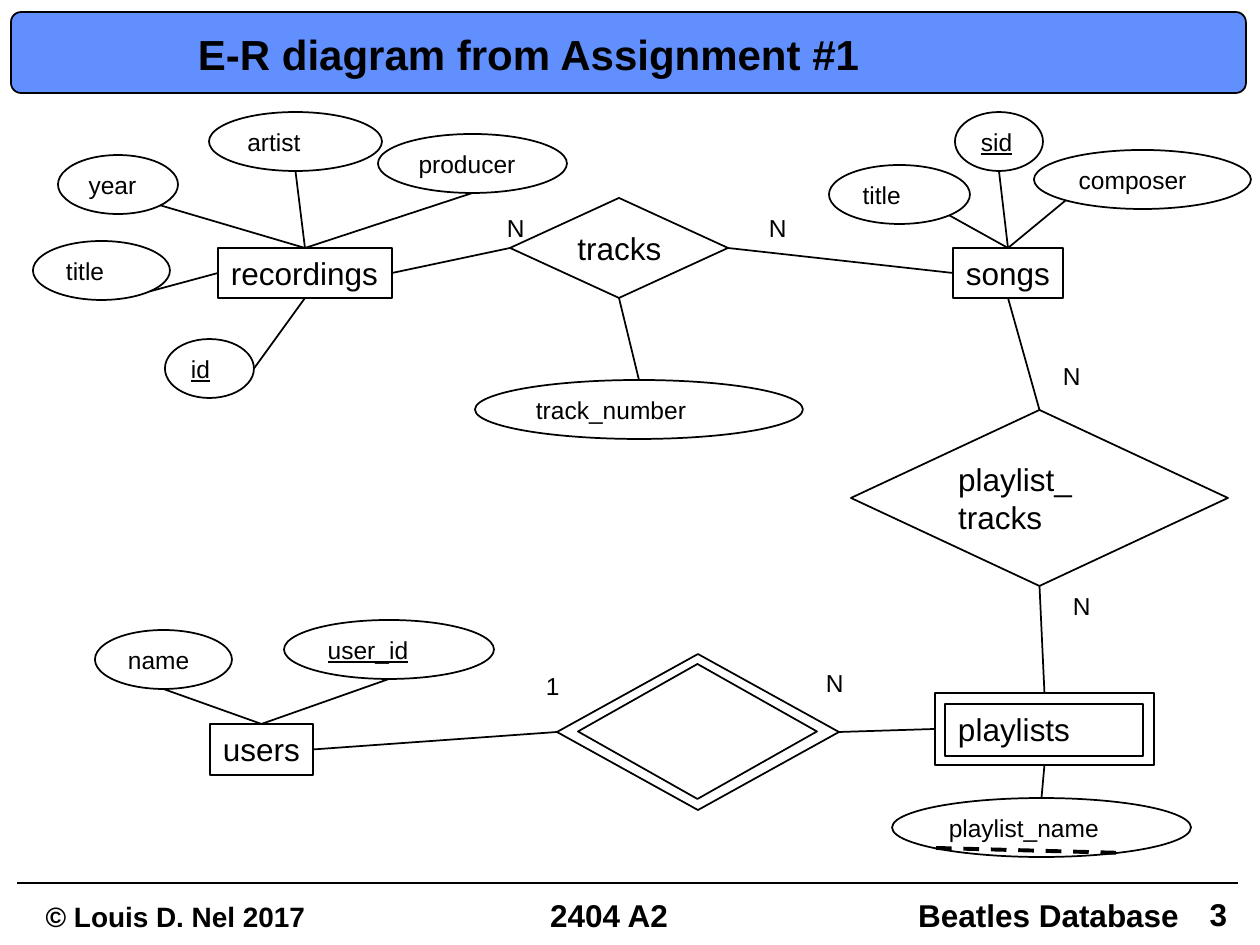
"""Build an entity-relationship diagram slide for a music database."""
from math import cos, radians, sin

from lxml.etree import SubElement
from pptx import Presentation
from pptx.dml.color import RGBColor
from pptx.enum.dml import MSO_LINE
from pptx.enum.shapes import MSO_CONNECTOR, MSO_SHAPE
from pptx.enum.text import MSO_ANCHOR, MSO_AUTO_SIZE, PP_ALIGN
from pptx.oxml.ns import qn
from pptx.util import Emu, Pt

BLACK = RGBColor(0x00, 0x00, 0x00)
WHITE = RGBColor(0xFF, 0xFF, 0xFF)
BLUE = RGBColor(0x61, 0x8F, 0xFD)
FONT = "Arial"
PX_PER_INCH = 126
ATTRIBUTE_HEIGHT = 59
LABEL_WIDTH = 68
TOP, LEFT, BOTTOM, RIGHT = range(4)
SHAPE_INSETS = (13, 6, 13, 6)
NODE_INSETS = (13, 6, 0, 6)
BAR_INSETS = (9, 4, 9, 4)

ENTITIES = {
    "recordings": (218, 248, 174, 50),
    "songs": (953, 248, 110, 50),
    "users": (210, 724, 103, 51),
}
RELATIONSHIPS = {
    "tracks": ("tracks", 510, 198, 218, 100),
    "playlist_tracks": ("playlist_ tracks", 851, 410, 377, 176),
}
# name, left, top, width, key, angle of the line's end, owner, side of the owner
ATTRIBUTES = [
    ("id", 165, 339, 89, True, 0, "recordings", BOTTOM),
    ("title", 33, 241, 137, False, 45, "recordings", LEFT),
    ("year", 58, 155, 120, False, 45, "recordings", TOP),
    ("artist", 209, 112, 173, False, 90, "recordings", TOP),
    ("producer", 378, 134, 189, False, 90, "recordings", TOP),
    ("title", 829, 165, 141, False, 45, "songs", TOP),
    ("sid", 955, 112, 88, True, 90, "songs", TOP),
    ("composer", 1034, 150, 217, False, 135, "songs", TOP),
    ("track_number", 475, 380, 328, False, 270, "tracks", BOTTOM),
    ("name", 95, 630, 137, False, 90, "users", TOP),
    ("user_id", 284, 620, 210, True, 90, "users", TOP),
    ("playlist_name", 892, 798, 299, False, 270, "playlists", BOTTOM),
]
LINKS = [
    ("tracks", LEFT, "recordings", RIGHT),
    ("tracks", RIGHT, "songs", LEFT),
    ("songs", BOTTOM, "playlist_tracks", TOP),
    ("playlist_tracks", BOTTOM, "playlists", TOP),
    ("playlists", LEFT, "owns", RIGHT),
    ("owns", LEFT, "users", RIGHT),
]
CARDINALITIES = [
    ("N", 484, 198, 59), ("N", 746, 199, 54),
    ("N", 1040, 346, 59), ("N", 1050, 577, 54),
    ("N", 803, 653, 59), ("1", 523, 656, 59),
]
FOOTERS = [
    ("© Louis D. Nel 2017", 35, 901, 281, 35, 16, PP_ALIGN.CENTER),
    ("2404 A2", 541, 898, 136, 39, 18, PP_ALIGN.CENTER),
    ("Beatles Database", 908, 898, 281, 39, 18, PP_ALIGN.CENTER),
    ("3", 1176, 897, 60, 39, 18, PP_ALIGN.RIGHT),
]


def px(length):
    """Turn pixels into EMU."""
    return Emu(round(length * 914400 / PX_PER_INCH))


def write(shape, text, size, bold=False, underline=False, align=PP_ALIGN.LEFT,
          spacing=1.0, wrap=True, insets=SHAPE_INSETS):
    """Put one formatted paragraph of text into a shape."""
    frame = shape.text_frame
    frame.word_wrap = wrap
    frame.auto_size = MSO_AUTO_SIZE.SHAPE_TO_FIT_TEXT
    frame.vertical_anchor = MSO_ANCHOR.TOP
    (frame.margin_left, frame.margin_top,
     frame.margin_right, frame.margin_bottom) = map(px, insets)
    para = frame.paragraphs[0]
    para.alignment = align
    para.line_spacing = spacing
    para.space_before = Pt(0)
    span = para.add_run()
    span.text = text
    span.font.name = FONT
    span.font.size = Pt(size)
    span.font.bold = bold
    span.font.underline = underline
    span.font.color.rgb = BLACK


def add_outline(shapes, kind, left, top, width, height, fill=WHITE, outlined=True):
    """Add a preset shape with a thin black outline or none."""
    shape = shapes.add_shape(kind, px(left), px(top), px(width), px(height))
    shape.shadow.inherit = False
    if fill is None:
        shape.fill.background()
    else:
        shape.fill.solid()
        shape.fill.fore_color.rgb = fill
    if outlined:
        shape.line.color.rgb = BLACK
        shape.line.width = Pt(1)
    else:
        shape.line.fill.background()
    return shape


def add_line(page, start, end, width=1, dash=None):
    """Add a straight black connector between two EMU points."""
    line = page.shapes.add_connector(MSO_CONNECTOR.STRAIGHT, *start, *end)
    line.line.color.rgb = BLACK
    line.line.width = Pt(width)
    if dash is not None:
        line.line.dash_style = dash
    SubElement(line.element.spPr, qn("a:effectLst"))
    return line


def rim_point(ellipse, angle):
    """Return the point on an ellipse at a clockwise angle from its right end."""
    across, down = ellipse.width / 2, ellipse.height / 2
    return (Emu(round(ellipse.left + across * (1 + cos(radians(angle))))),
            Emu(round(ellipse.top + down * (1 + sin(radians(angle))))))


def add_heading(page):
    """Format the title and set the blue band behind it."""
    title = page.shapes.title
    title.left, title.top, title.width, title.height = map(px, (189, 31, 687, 52))
    write(title, "E-R diagram from Assignment #1", 24, bold=True, spacing=0.87,
          wrap=False, insets=BAR_INSETS)
    band = add_outline(page.shapes, MSO_SHAPE.ROUNDED_RECTANGLE, 11, 12, 1235, 81, BLUE)
    band.adjustments[0] = 0.125
    title.element.addprevious(band.element)


def add_footer(page):
    """Add the footer rule and its texts."""
    add_line(page, (px(17), px(883)), (px(1238), px(883)))
    for text, left, top, width, height, size, align in FOOTERS:
        box = page.shapes.add_textbox(px(left), px(top), px(width), px(height))
        write(box, text, size, bold=True, align=align, spacing=0.85,
              wrap=align == PP_ALIGN.RIGHT, insets=BAR_INSETS)


def add_nodes(page):
    """Add entities and relationships and return them by name."""
    nodes = {}
    for name, place in ENTITIES.items():
        nodes[name] = add_outline(page.shapes, MSO_SHAPE.RECTANGLE, *place)
        write(nodes[name], name, 18, insets=NODE_INSETS)
    for name, (text, *place) in RELATIONSHIPS.items():
        nodes[name] = add_outline(page.shapes, MSO_SHAPE.DIAMOND, *place)
        write(nodes[name], text, 18, insets=NODE_INSETS)
    nodes["playlists"] = add_outline(page.shapes, MSO_SHAPE.RECTANGLE,
                                     935, 693, 219, 72, None)
    inner = add_outline(page.shapes, MSO_SHAPE.RECTANGLE, 945, 704, 198, 52, None)
    write(inner, "playlists", 18)
    group = page.shapes.add_group_shape()
    nodes["owns"] = add_outline(group.shapes, MSO_SHAPE.DIAMOND, 557, 654, 282, 156)
    add_outline(group.shapes, MSO_SHAPE.DIAMOND, 578, 664, 239, 135)
    return nodes


def add_attributes(page, nodes):
    """Add attribute ellipses, each joined to its owner."""
    for name, left, top, width, key, angle, owner, side in ATTRIBUTES:
        ellipse = add_outline(page.shapes, MSO_SHAPE.OVAL, left, top, width,
                              ATTRIBUTE_HEIGHT)
        write(ellipse, name, 14, underline=key)
        start = rim_point(ellipse, angle)
        add_line(page, start, start).end_connect(nodes[owner], side)
    add_line(page, (px(936), px(848)), (px(1124), px(853)), 2.25, MSO_LINE.DASH)


def add_links(page, nodes):
    """Join the nodes and label the cardinalities."""
    for first, first_side, second, second_side in LINKS:
        line = add_line(page, (0, 0), (0, 0))
        line.begin_connect(nodes[first], first_side)
        line.end_connect(nodes[second], second_side)
    for text, left, top, height in CARDINALITIES:
        label = add_outline(page.shapes, MSO_SHAPE.OVAL, left, top, LABEL_WIDTH,
                            height, None, outlined=False)
        write(label, text, 14)


def main():
    """Build and save the deck."""
    deck = Presentation()
    deck.slide_width, deck.slide_height = px(1260), px(945)
    page = deck.slides.add_slide(deck.slide_layouts[5])
    add_heading(page)
    add_footer(page)
    nodes = add_nodes(page)
    add_attributes(page, nodes)
    add_links(page, nodes)
    deck.save("out.pptx")


if __name__ == "__main__":
    main()
